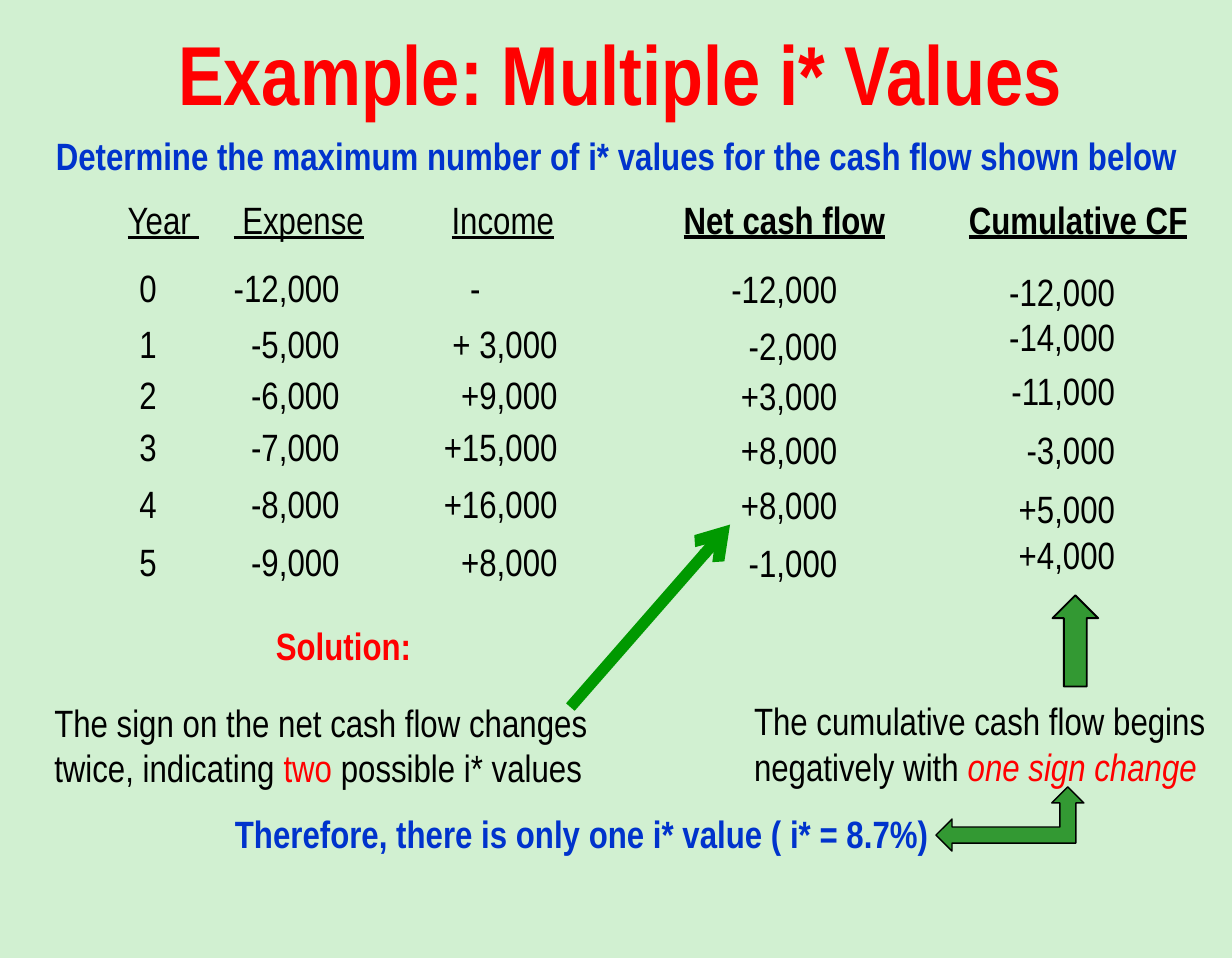
from lxml.etree import SubElement
from pptx import Presentation
from pptx.dml.color import RGBColor
from pptx.enum.shapes import MSO_CONNECTOR, MSO_SHAPE
from pptx.enum.text import MSO_ANCHOR, PP_ALIGN
from pptx.oxml.ns import qn
from pptx.util import Pt

FONT = "Arial Narrow"
RED, BLUE, BLACK = "FF0000", "0033CC", "000000"
LINE_HEIGHT = 31.5

YEARLY_FLOWS = [
    (135.5, "0\t-12,000\t-"),
    (165, "1\t-5,000\t+ 3,000"),
    (192, "2\t-6,000\t+9,000"),
    (219, "3\t-7,000\t+15,000"),
    (249, "4\t-8,000\t+16,000"),
    (279.5, "5\t-9,000\t+8,000"),
]
NET_FLOWS = [
    (136, "-12,000"), (166, "-2,000"), (192.5, "+3,000"),
    (221, "+8,000"), (250, "+8,000"), (280, "-1,000"),
]
CUMULATIVE_FLOWS = [
    (137.5, "-12,000"), (161.5, "-14,000"), (190, "-11,000"),
    (221, "-3,000"), (252, "+5,000"), (276, "+4,000"),
]


def rgb(hex_code):
    """Turn a hex string into a colour."""
    return RGBColor.from_string(hex_code)


def format_run(run, size=20, color=BLACK, bold=False, italic=False, underline=False):
    """Apply the slide's font with the given styling to a run."""
    font = run.font
    font.name, font.size = FONT, Pt(size)
    font.color.rgb = rgb(color)
    font.bold, font.italic, font.underline = bold, italic, underline


def add_label(slide, left, top, width, lines, height=LINE_HEIGHT,
              align=PP_ALIGN.LEFT, anchor=MSO_ANCHOR.TOP, **style):
    """Add text whose lines are lists of (text, style) pieces, or one string."""
    label = slide.shapes.add_textbox(Pt(left), Pt(top), Pt(width), Pt(height))
    frame = label.text_frame
    frame.word_wrap = True
    frame.vertical_anchor = anchor
    if isinstance(lines, str):
        lines = [[(lines, {})]]
    for index, pieces in enumerate(lines):
        paragraph = frame.add_paragraph() if index else frame.paragraphs[0]
        paragraph.alignment = align
        for text, extra in pieces:
            run = paragraph.add_run()
            run.text = text
            format_run(run, **{**style, **extra})
    return label


def set_tabs(label, stops):
    """Give a label's first paragraph tab stops of (position, alignment)."""
    properties = label.text_frame.paragraphs[0]._p.get_or_add_pPr()
    tab_list = SubElement(properties, qn("a:tabLst"))
    for position, align in stops:
        SubElement(tab_list, qn("a:tab"), pos=str(Pt(position)), algn=align)


def add_yearly_columns(slide):
    """Add the year, expense and income columns with their headings."""
    under = {"underline": True}
    headings = add_label(slide, 46.8, 100, 253, [[
        ("\tYear ", under), ("\t", {}), (" Expense", under),
        ("\t", {}), ("Income", under)]])
    set_tabs(headings, [(13.3, "l"), (69, "l"), (183.6, "l")])
    for top, flows in YEARLY_FLOWS:
        row = add_label(slide, 66.2, top, 245, flows)
        income_stop = (179.5 if flows.endswith("-") else 220, "r")
        set_tabs(row, [(105.4, "r"), income_stop])


def add_value_column(slide, heading, heading_left, right, flows):
    """Add a bold heading above values that share a right edge."""
    add_label(slide, heading_left, 100, 134, heading, bold=True, underline=True)
    for top, value in flows:
        add_label(slide, right - 72, top, 72, value, align=PP_ALIGN.RIGHT)


def add_block_arrow(slide, kind, left, top, width, height, line_width):
    """Add a green outlined block arrow."""
    arrow = slide.shapes.add_shape(kind, Pt(left), Pt(top), Pt(width), Pt(height))
    arrow.shadow.inherit = False
    arrow.fill.solid()
    arrow.fill.fore_color.rgb = rgb("339933")
    arrow.line.color.rgb = rgb(BLACK)
    arrow.line.width = Pt(line_width)


def add_pointer(slide, start, end):
    """Add a thick green line with an open arrowhead at its end."""
    pointer = slide.shapes.add_connector(
        MSO_CONNECTOR.STRAIGHT, *(Pt(value) for value in (*start, *end)))
    pointer.line.color.rgb = rgb("009900")
    pointer.line.width = Pt(6)
    SubElement(pointer.line._get_or_add_ln(), qn("a:tailEnd"), type="arrow")
    SubElement(pointer._element.spPr, qn("a:effectLst"))


def main():
    """Build the slide and save it."""
    deck = Presentation()
    deck.slide_width, deck.slide_height = Pt(648), Pt(504)
    slide = deck.slides.add_slide(deck.slide_layouts[6])
    slide.background.fill.solid()
    slide.background.fill.fore_color.rgb = rgb("D1F0D1")

    add_label(slide, 11.5, 5.8, 630, "Example: Multiple i* Values", height=64,
              align=PP_ALIGN.CENTER, anchor=MSO_ANCHOR.MIDDLE,
              size=44, color=RED, bold=True)
    add_label(slide, 22.3, 66.2, 618,
              "Determine the maximum number of i* values for the cash flow shown below",
              color=BLUE, bold=True)

    add_yearly_columns(slide)
    add_value_column(slide, "Net cash flow", 352.5, 447.5, NET_FLOWS)
    add_value_column(slide, "Cumulative CF", 502.5, 593.6, CUMULATIVE_FLOWS)

    add_label(slide, 138, 324, 90, "Solution:", color=RED, bold=True)
    add_label(slide, 21.5, 364.3, 302, [
        [("The sign on the net cash flow changes", {})],
        [("twice, indicating ", {}), ("two ", {"color": RED}),
         ("possible i* values", {})]], height=55.5)
    add_label(slide, 389.5, 363.6, 258.5, [
        [("The cumulative cash flow begins", {})],
        [("negatively with ", {}),
         ("one sign change", {"color": RED, "italic": True})]], height=55.5)
    add_label(slide, 116.5, 422.6, 385,
              "Therefore, there is only one i* value ( i* = 8.7%)",
              color=BLUE, bold=True)

    add_block_arrow(slide, MSO_SHAPE.UP_ARROW, 553.6, 313.2, 24, 48, 1)
    add_block_arrow(slide, MSO_SHAPE.LEFT_UP_ARROW, 492.3, 414, 77.8, 33.8, 0.75)
    add_pointer(slide, (300, 372), (384, 276))
    deck.save("out.pptx")


main()
